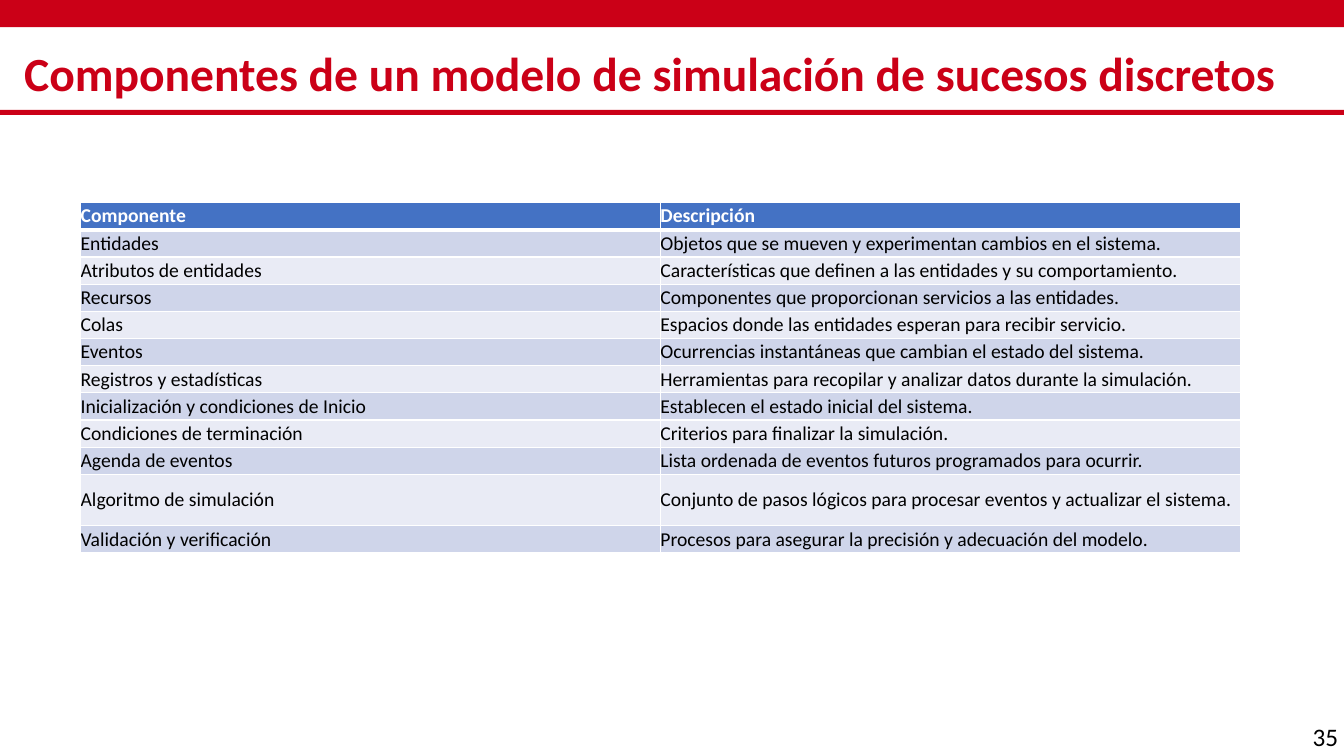
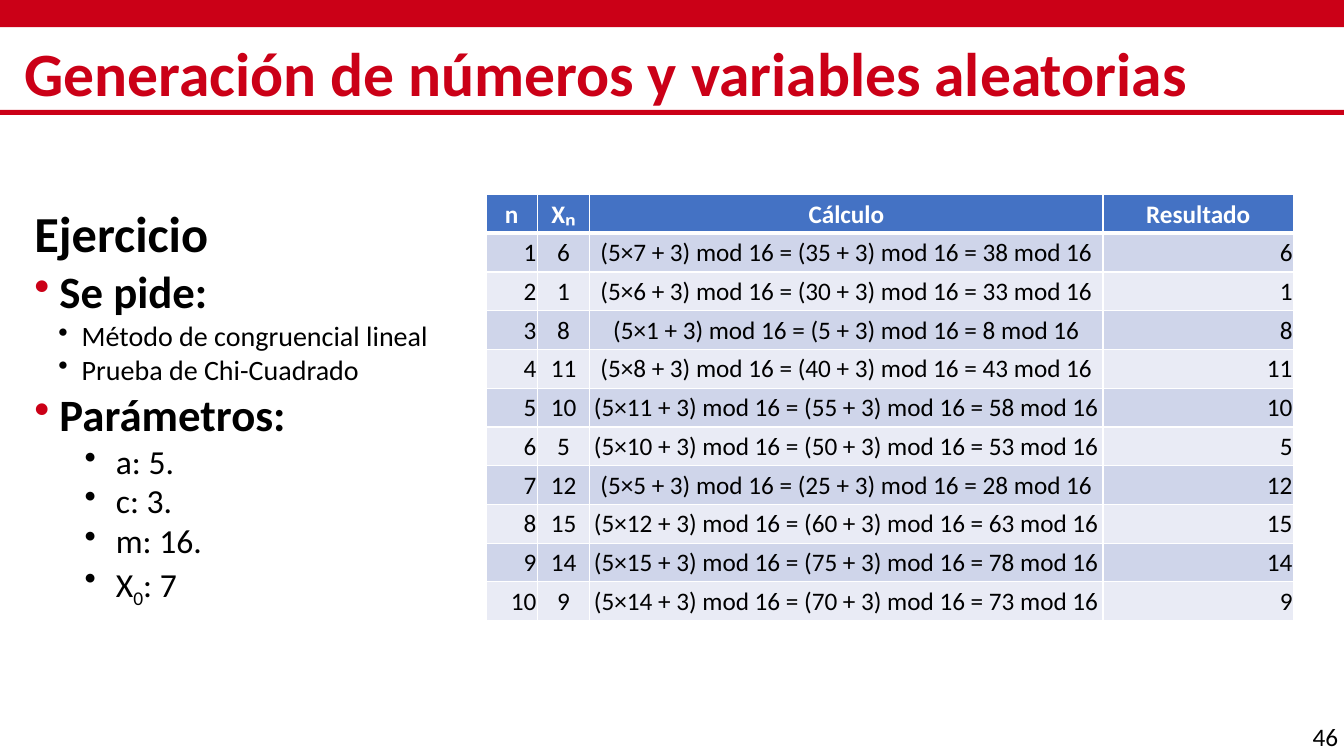
from dataclasses import dataclass
from pptx import Presentation
from pptx.dml.color import RGBColor
from pptx.enum.shapes import MSO_SHAPE
from pptx.enum.text import MSO_ANCHOR, PP_ALIGN
from pptx.oxml.ns import qn
from pptx.util import Inches, Pt
from lxml.etree import SubElement

RED, BLACK, WHITE = "CB0017", "000000", "FFFFFF"
HEAD, BANDS = "4472C4", ("CFD5EA", "E9EBF5")
FONT = "Calibri"
LEFT, MID, RIGHT = PP_ALIGN.LEFT, PP_ALIGN.CENTER, PP_ALIGN.RIGHT


def color(code):
    return RGBColor.from_string(code)


@dataclass
class Level:
    """Paragraph style: sizes in points, margin and hang in inches."""
    size: int
    bold: bool = False
    before: float = 2.5
    margin: float = 0
    hang: float = 0
    bullet: str = ""


HEADING = Level(36, True, 5)
TOPIC = Level(32, True, 5, 0.25, 0.25, RED)
TASK = Level(20, False, 2.5, 0.47, 0.23, BLACK)
PARAM = Level(24, False, 2.5, 0.81, 0.31, BLACK)


class Deck:
    def __init__(self):
        self.file = Presentation()
        self.file.slide_width = Inches(13.33)
        self.file.slide_height = Inches(7.5)
        self.slide = None

    def page(self, title, size, number):
        """Start a slide with its bands, title and page number."""
        self.slide = self.file.slides.add_slide(self.file.slide_layouts[6])
        self.band(-0.01, 0.28)
        self.band(1.09, 0.05)
        frame = self.box(0.24, 0.39, 12.85, 0.73)
        para = frame.paragraphs[0]
        para.line_spacing = 0.9
        self.run(para, title, size, RED, True)
        frame = self.box(12.92, 7.11, 0.57, 0.4, (0.1, 0.05), MSO_ANCHOR.TOP)
        self.run(frame.paragraphs[0], str(number), 18)

    def band(self, top, height):
        shape = self.slide.shapes.add_shape(
            MSO_SHAPE.RECTANGLE, 0, Inches(top), self.file.slide_width, Inches(height))
        shape.shadow.inherit = False
        shape.fill.solid()
        shape.fill.fore_color.rgb = color(RED)
        shape.line.fill.background()

    def box(self, left, top, width, height, inset=(0, 0), anchor=MSO_ANCHOR.MIDDLE):
        area = map(Inches, (left, top, width, height))
        frame = self.slide.shapes.add_textbox(*area).text_frame
        frame.word_wrap = True
        frame.vertical_anchor = anchor
        frame.margin_left = frame.margin_right = Inches(inset[0])
        frame.margin_top = frame.margin_bottom = Inches(inset[1])
        return frame

    def run(self, para, text, size, ink=BLACK, bold=False, base=0):
        run = para.add_run()
        run.text = text
        font = run.font
        font.name, font.size, font.bold = FONT, Pt(size), bold
        font.color.rgb = color(ink)
        if base:
            run._r.get_or_add_rPr().set("baseline", str(base * 1000))

    def outline(self, left, top, width, height, lines):
        """Each line is a level and its runs, given as text and baseline percent."""
        frame = self.box(left, top, width, height)
        for i, (level, *runs) in enumerate(lines):
            para = frame.add_paragraph() if i else frame.paragraphs[0]
            para.line_spacing = 0.9
            para.space_before = Pt(level.before)
            if level.bullet:
                self.bullet(para, level)
            for text, base in runs:
                self.run(para, text, level.size, BLACK, level.bold, base)

    def bullet(self, para, level):
        props = para._p.get_or_add_pPr()
        props.set("marL", str(Inches(level.margin)))
        props.set("indent", str(-Inches(level.hang)))
        paint = SubElement(props, qn("a:buClr"))
        SubElement(paint, qn("a:srgbClr")).set("val", level.bullet)
        SubElement(props, qn("a:buChar")).set("char", "•")

    def table(self, left, top, cols, heights, rows, size, aligns, head, inset=0):
        area = map(Inches, (left, top, sum(cols), sum(heights)))
        grid = self.slide.shapes.add_table(len(rows), len(cols), *area).table
        grid.horz_banding = False
        for col, width in zip(grid.columns, cols):
            col.width = Inches(width)
        for i, (row, height) in enumerate(zip(rows, heights)):
            grid.rows[i].height = Inches(height)
            for j, text in enumerate(row):
                cell = grid.cell(i, j)
                cell.vertical_anchor = MSO_ANCHOR.MIDDLE
                cell.margin_left = cell.margin_right = cell.margin_top = Inches(inset)
                cell.margin_bottom = 0
                self.border(cell, top=3 if i == 1 else 1, bottom=1 if i else 3)
                cell.fill.solid()
                cell.fill.fore_color.rgb = color(BANDS[(i - 1) % 2] if i else HEAD)
                para = cell.text_frame.paragraphs[0]
                para.alignment = aligns[j] if i else head
                self.run(para, text, size, BLACK if i else WHITE, not i)

    def border(self, cell, top, bottom):
        props = cell._tc.get_or_add_tcPr()
        for side, width in zip("LRTB", (1, 1, top, bottom)):
            line = SubElement(props, qn("a:ln" + side), w=str(Pt(width)))
            fill = SubElement(line, qn("a:solidFill"))
            SubElement(fill, qn("a:srgbClr")).set("val", WHITE)


PARTS = [
    ("Componente", "Descripción"),
    ("Entidades", "Objetos que se mueven y experimentan cambios en el sistema."),
    ("Atributos de entidades", "Características que definen a las entidades y su comportamiento."),
    ("Recursos", "Componentes que proporcionan servicios a las entidades."),
    ("Colas", "Espacios donde las entidades esperan para recibir servicio."),
    ("Eventos", "Ocurrencias instantáneas que cambian el estado del sistema."),
    ("Registros y estadísticas",
     "Herramientas para recopilar y analizar datos durante la simulación."),
    ("Inicialización y condiciones de Inicio", "Establecen el estado inicial del sistema."),
    ("Condiciones de terminación", "Criterios para finalizar la simulación."),
    ("Agenda de eventos", "Lista ordenada de eventos futuros programados para ocurrir."),
    ("Algoritmo de simulación",
     "Conjunto de pasos lógicos para procesar eventos y actualizar el sistema."),
    ("Validación y verificación", "Procesos para asegurar la precisión y adecuación del modelo."),
]

EXERCISE = [
    (HEADING, ("Ejercicio", 0)),
    (TOPIC, ("Se pide:", 0)),
    (TASK, ("Método de congruencial lineal", 0)),
    (TASK, ("Prueba de Chi-Cuadrado", 0)),
    (TOPIC, ("Parámetros:", 0)),
    (PARAM, ("a: 5.", 0)),
    (PARAM, ("c: 3.", 0)),
    (PARAM, ("m: 16.", 0)),
    (PARAM, ("X", 0), ("0", -25), (": 7", 0)),
]


def series(a=5, c=3, m=16, x=7, count=10):
    """Rows of the linear congruential method."""
    rows = [("n", "Xₙ", "Cálculo", "Resultado")]
    for n in range(1, count + 1):
        prod = a * x
        total = prod + c
        work = f"({a}×{x} + {c}) mod {m} = ({prod} + {c}) mod {m} = {total} mod {m}"
        x = total % m
        rows.append((str(n), str(x), work, str(x)))
    return rows


def main():
    deck = Deck()
    deck.page("Componentes de un modelo de simulación de sucesos discretos", 34, 35)
    heights = [0.51 if name == "Algoritmo de simulación" else 0.27 for name, _ in PARTS]
    deck.table(0.8, 2.01, [5.75] * 2, heights, PARTS, 14, [LEFT] * 2, LEFT)

    deck.page("Generación de números y variables aleatorias", 44, 46)
    deck.outline(0.34, 1.81, 4.4, 4.46, EXERCISE)
    rows = series()
    deck.table(4.82, 1.93, [0.51, 0.52, 5.09, 1.89], [4.23 / len(rows)] * len(rows),
               rows, 18, [RIGHT, MID, MID, RIGHT], MID, 0.01)
    deck.file.save("out.pptx")


if __name__ == "__main__":
    main()
